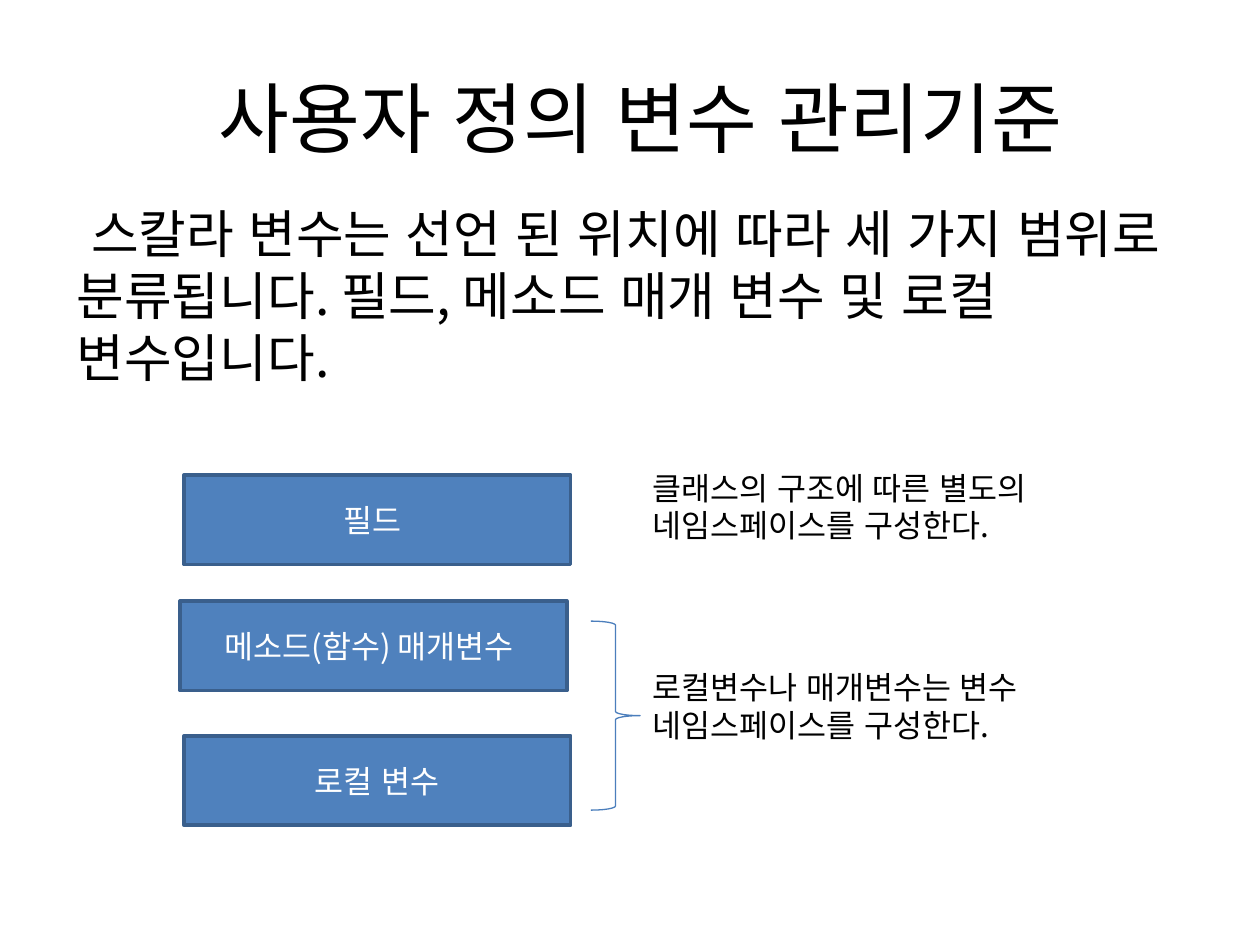
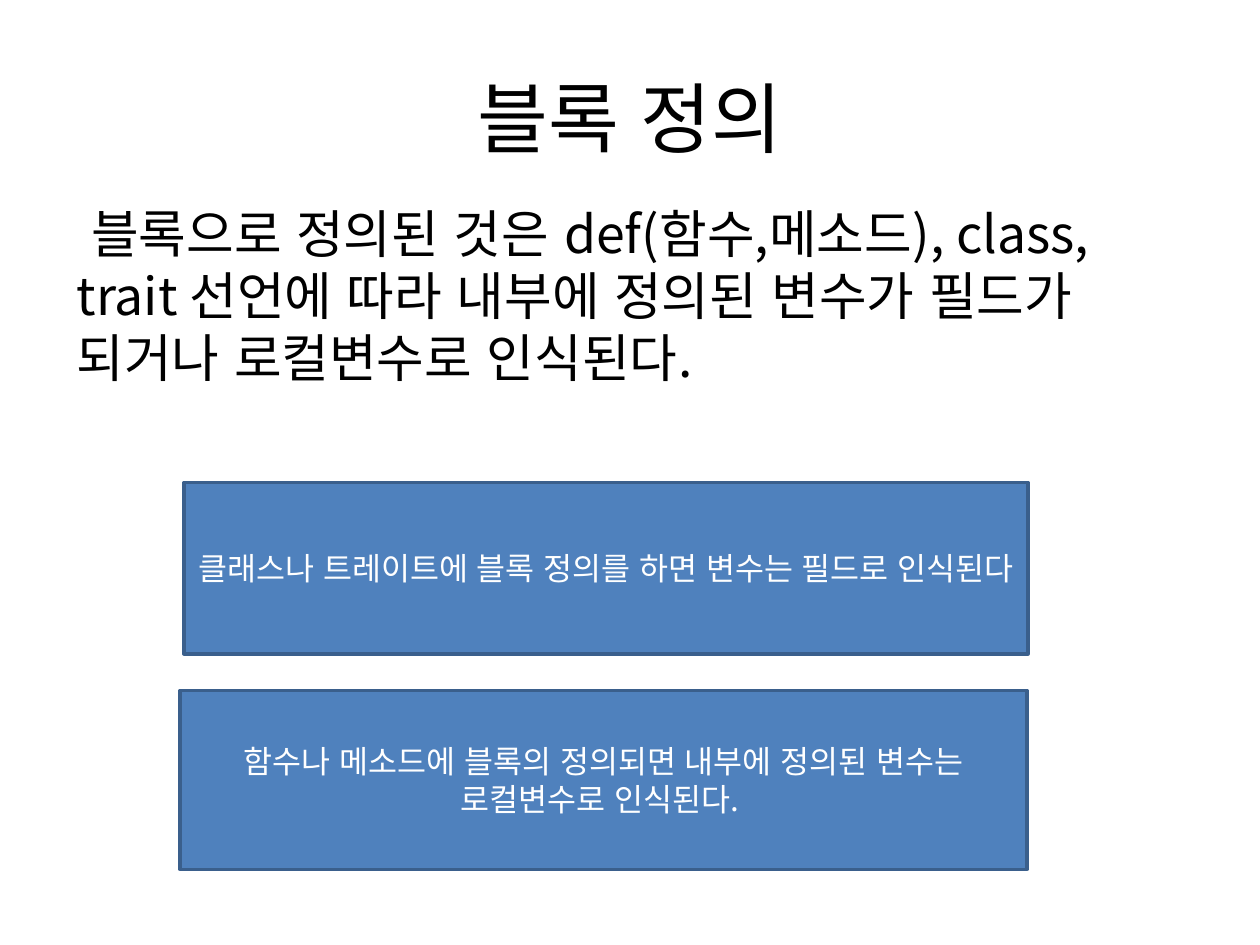
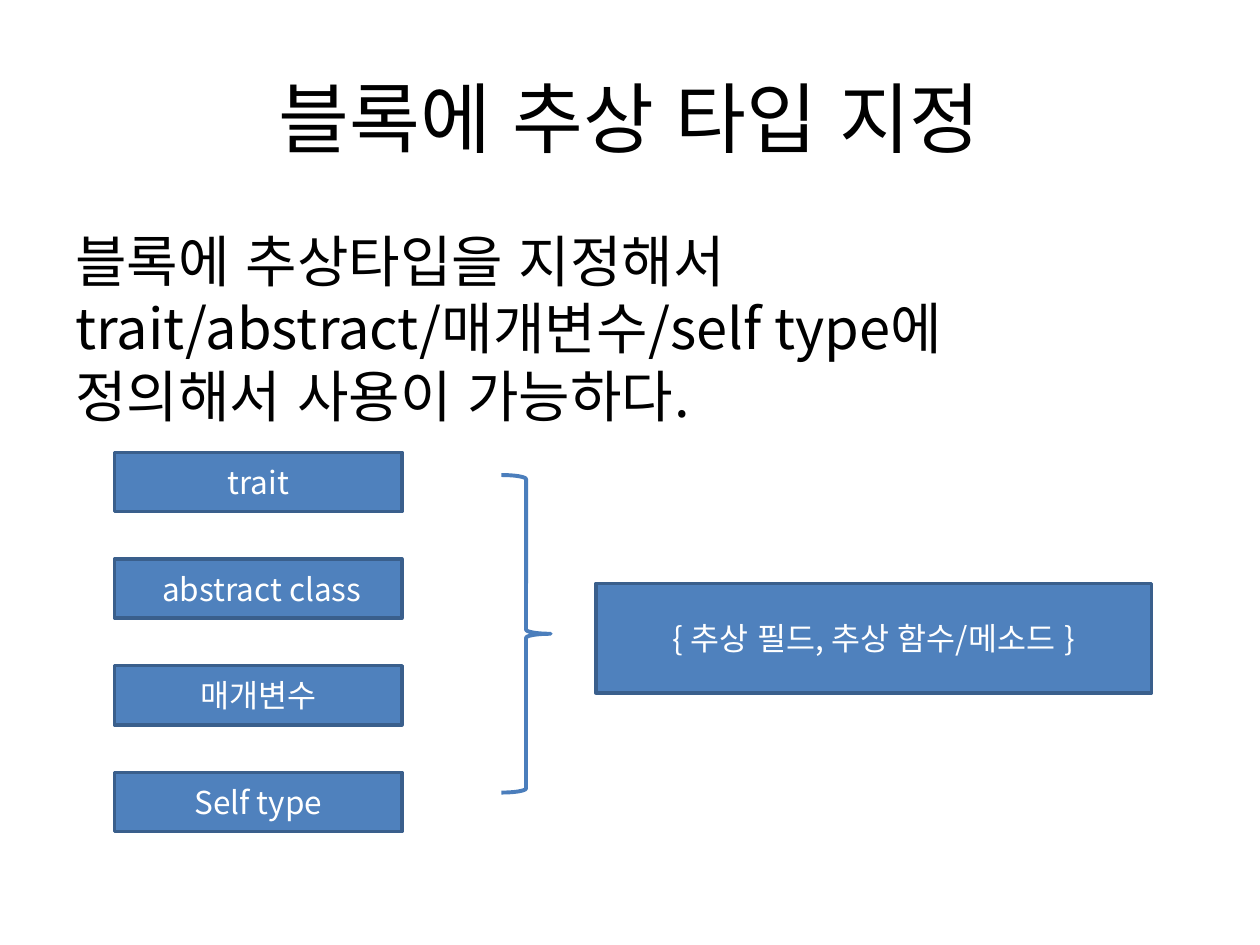
"""Three slides on Scala variable scopes, block definitions and abstract types."""
from dataclasses import dataclass

from pptx import Presentation
from pptx.dml.color import RGBColor as Color
from pptx.enum.lang import MSO_LANGUAGE_ID as Language
from pptx.enum.shapes import MSO_SHAPE as ShapeKind
from pptx.enum.text import MSO_ANCHOR as Anchor, PP_ALIGN as Align
from pptx.shapes.autoshape import Shape
from pptx.slide import Slide
from pptx.util import Inches, Pt

COLUMNS, ROWS = 100, 75


@dataclass(frozen=True)
class Theme:
    """Colours, font and type sizes of the whole deck."""
    font: str = "Noto Sans CJK KR"
    ink: Color = Color.from_string("000000")
    light: Color = Color.from_string("FFFFFF")
    box: Color = Color.from_string("4F81BD")
    border: Color = Color.from_string("3A5F8C")
    brace: Color = Color.from_string("4B7EBC")
    title_size: float = 44
    label_size: float = 18
    border_width: float = 2
    line_pitch: float = 1.2


@dataclass(frozen=True)
class Frame:
    """Place and extent on the slide grid, in columns and rows."""
    column: float
    row: float
    columns: float
    rows: float


@dataclass(frozen=True)
class Label:
    """A text with its frame."""
    text: str
    frame: Frame


@dataclass(frozen=True)
class Brace:
    """A right brace with its line width."""
    frame: Frame
    width: float


@dataclass(frozen=True)
class Page:
    """Everything that shows on one slide."""
    title: str
    body: Label
    body_size: float
    boxes: tuple[Label, ...]
    notes: tuple[Label, ...] = ()
    braces: tuple[Brace, ...] = ()


THEME = Theme()
TITLE_FRAME = Frame(5, 3, 90, 12.5)
INTRO_FRAME = Frame(5.1, 15.5, 88.3, 14.5)
TYPE_NAMES = ("trait", " abstract class", "매개변수", "Self type")
TYPE_TOP, TYPE_STEP = 35.9, 8.47

PAGES = (
    Page(
        " 사용자 정의 변수 관리기준",
        Label(" 스칼라 변수는 선언 된 위치에 따라 세 가지 범위로 분류됩니다. "
              "필드, 메소드 매개 변수 및 로컬 변수입니다.", INTRO_FRAME),
        29.6,
        boxes=(
            Label("필드 ", Frame(14.6, 37.7, 30.7, 7.1)),
            Label("메소드(함수) 매개변수 ", Frame(14.3, 47.7, 30.7, 7.1)),
            Label("로컬 변수", Frame(14.6, 58.4, 30.7, 7.1)),
        ),
        notes=(
            Label("클래스의 구조에 따른 별도의 네임스페이스를 구성한다.",
                  Frame(50.8, 36.7, 42.5, 7.1)),
            Label("로컬변수나 매개변수는 변수 네임스페이스를 구성한다.",
                  Frame(50.8, 52.5, 42.5, 7.1)),
        ),
        braces=(Brace(Frame(46.9, 49.3, 3.9, 15), 0.75),),
    ),
    Page(
        "블록 정의",
        Label(" 블록으로 정의된 것은 def(함수,메소드), class, trait 선언에 따라 "
              "내부에 정의된 변수가 필드가 되거나 로컬변수로 인식된다.", INTRO_FRAME),
        29.6,
        boxes=(
            Label("클래스나 트레이트에 블록 정의를 하면 변수는 필드로 인식된다",
                  Frame(14.6, 38.3, 67, 13.6)),
            Label("함수나 메소드에 블록의 정의되면 내부에 정의된 변수는 "
                  "로컬변수로 인식된다. ", Frame(14.3, 54.8, 67.2, 14.2)),
        ),
    ),
    Page(
        "블록에 추상 타입 지정",
        Label("블록에 추상타입을 지정해서 trait/abstract/매개변수/self type에 "
              "정의해서 사용이 가능하다.", Frame(5, 17.5, 88.3, 18.4)),
        32,
        boxes=(
            *(Label(name, Frame(9.1, TYPE_TOP + index * TYPE_STEP, 22.8, 4.7))
              for index, name in enumerate(TYPE_NAMES)),
            Label("{ 추상 필드, 추상 함수/메소드 }", Frame(47.3, 46.3, 44.1, 8.7)),
        ),
        braces=(Brace(Frame(39.8, 37.7, 3.9, 25.2), 2.25),),
    ),
)


def place(frame: Frame) -> tuple[int, int, int, int]:
    """Turn a grid frame into left, top, width and height."""
    column, row = Inches(10) / COLUMNS, Inches(7.5) / ROWS
    return (round(frame.column * column), round(frame.row * row),
            round(frame.columns * column), round(frame.rows * row))


def write(shape: Shape, text: str, size: float, color: Color,
          align: Align = Align.LEFT, anchor: Anchor = Anchor.TOP) -> None:
    """Put one styled paragraph into a shape."""
    text_frame = shape.text_frame
    text_frame.word_wrap = True
    text_frame.vertical_anchor = anchor
    paragraph = text_frame.paragraphs[0]
    paragraph.text = text
    paragraph.alignment = align
    paragraph.line_spacing = Pt(size * THEME.line_pitch)
    font = paragraph.font
    font.size, font.name, font.color.rgb = Pt(size), THEME.font, color
    for run in paragraph.runs:
        run.font.language_id = Language.KOREAN


def add_text(slide: Slide, label: Label, size: float, align: Align = Align.LEFT,
             anchor: Anchor = Anchor.TOP) -> None:
    """Add dark text on the slide background."""
    write(slide.shapes.add_textbox(*place(label.frame)), label.text, size,
          THEME.ink, align, anchor)


def add_box(slide: Slide, label: Label) -> None:
    """Add a filled rectangle with a centred label."""
    shape = slide.shapes.add_shape(ShapeKind.RECTANGLE, *place(label.frame))
    shape.shadow.inherit = False
    shape.fill.solid()
    shape.fill.fore_color.rgb = THEME.box
    shape.line.color.rgb = THEME.border
    shape.line.width = Pt(THEME.border_width)
    write(shape, label.text, THEME.label_size, THEME.light, Align.CENTER, Anchor.MIDDLE)


def add_brace(slide: Slide, brace: Brace) -> None:
    """Add an unfilled right brace."""
    shape = slide.shapes.add_shape(ShapeKind.RIGHT_BRACE, *place(brace.frame))
    shape.shadow.inherit = False
    shape.fill.background()
    shape.line.color.rgb = THEME.brace
    shape.line.width = Pt(brace.width)


def add_page(presentation: Presentation, page: Page) -> None:
    """Add one slide and draw its parts."""
    slide = presentation.slides.add_slide(presentation.slide_layouts[6])
    add_text(slide, Label(page.title, TITLE_FRAME), THEME.title_size,
             Align.CENTER, Anchor.MIDDLE)
    add_text(slide, page.body, page.body_size)
    for box in page.boxes:
        add_box(slide, box)
    for note in page.notes:
        add_text(slide, note, THEME.label_size)
    for brace in page.braces:
        add_brace(slide, brace)


def main() -> None:
    """Build and save the deck."""
    presentation = Presentation()
    presentation.slide_width, presentation.slide_height = Inches(10), Inches(7.5)
    for page in PAGES:
        add_page(presentation, page)
    presentation.save("out.pptx")


if __name__ == "__main__":
    main()
